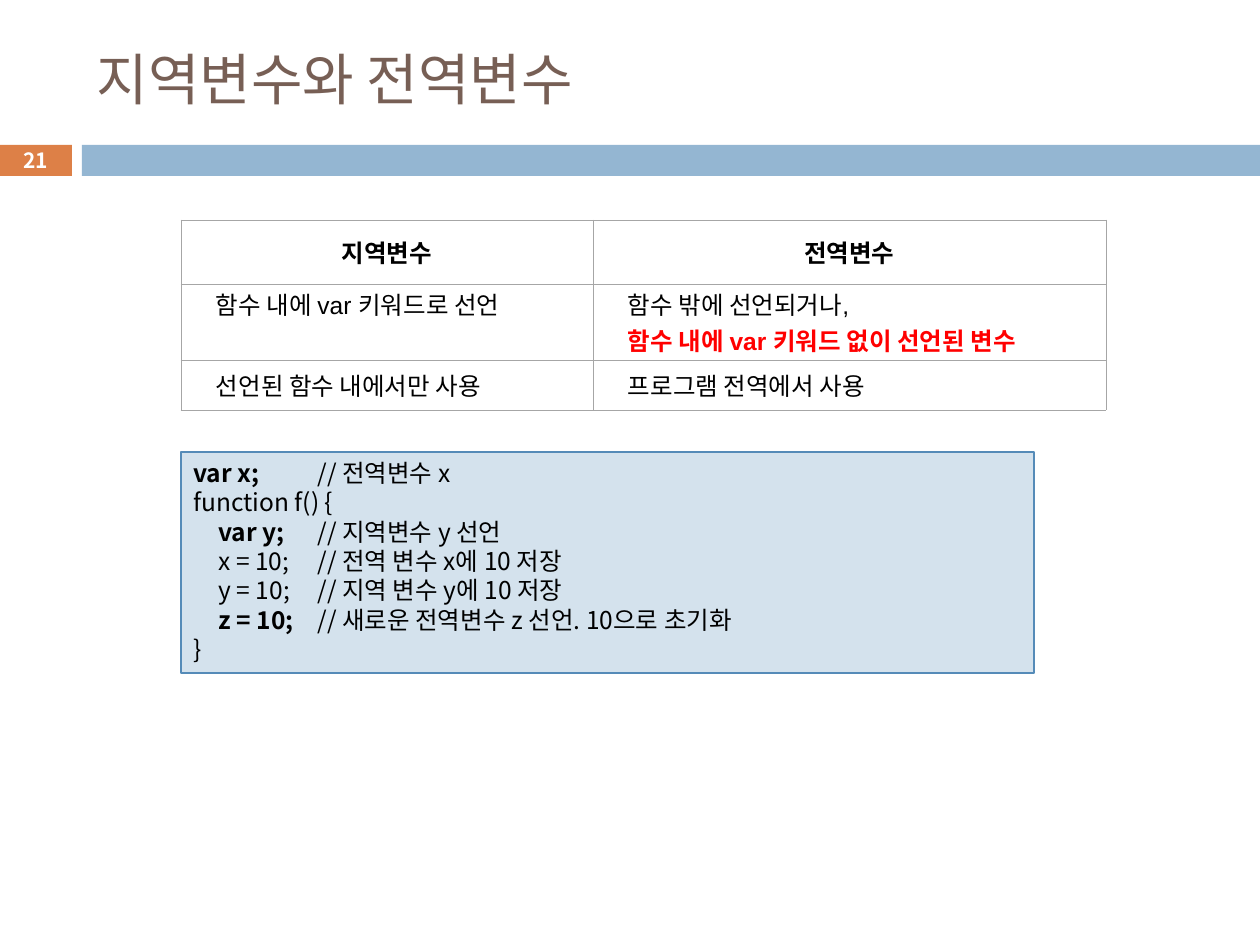
from typing import NamedTuple

from lxml.etree import SubElement
from pptx import Presentation
from pptx.dml.color import RGBColor
from pptx.enum.shapes import MSO_SHAPE as Shape
from pptx.enum.text import MSO_ANCHOR as Anchor, MSO_AUTO_SIZE as AutoSize, PP_ALIGN as Align
from pptx.oxml.ns import qn
from pptx.util import Pt

PX = 914400 / 126
SANS, ARIAL = "Noto Sans CJK KR", "Arial"
BLACK = RGBColor(0, 0, 0)
WHITE = RGBColor(255, 255, 255)
RED = RGBColor(255, 0, 0)
BROWN = RGBColor(0x77, 0x5F, 0x55)
ORANGE = RGBColor(0xDD, 0x80, 0x47)
BLUE = RGBColor(0x94, 0xB6, 0xD2)
PALE_BLUE = RGBColor(0xD4, 0xE2, 0xED)
EDGE_BLUE = RGBColor(0x55, 0x8B, 0xB8)
BORDER_GRAY = "A6A6A6"


class Box(NamedTuple):
    left: int
    top: int
    width: int
    height: int


class CodeLine(NamedTuple):
    statement: str
    comment: str = ""
    bold: bool = False


class Cell(NamedTuple):
    lines: list[str]
    header: bool = False
    anchor: Anchor = Anchor.MIDDLE
    warning_line: int = -1


TABLE_BOX = Box(181, 220, 925, 190)
COLUMN_WIDTHS = [412, 513]
ROW_HEIGHTS = [64, 76, 50]
ROWS = [
    [Cell(["지역변수"], header=True), Cell(["전역변수"], header=True)],
    [Cell(["함수 내에 var 키워드로 선언"], anchor=Anchor.TOP),
     Cell(["함수 밖에 선언되거나,", "함수 내에 var 키워드 없이 선언된 변수"], warning_line=1)],
    [Cell(["선언된 함수 내에서만 사용"]), Cell(["프로그램 전역에서 사용"])],
]
CODE_TABS = [25, 124]
CODE = [
    CodeLine("var x;", "\t// 전역변수 x", True),
    CodeLine("function f() {"),
    CodeLine("\tvar y;", "\t// 지역변수 y 선언", True),
    CodeLine("\tx = 10;", "\t// 전역 변수 x에 10 저장"),
    CodeLine("\ty = 10;", "\t// 지역 변수 y에 10 저장"),
    CodeLine("\tz = 10;", "\t// 새로운 전역변수 z 선언. 10으로 초기화", True),
    CodeLine("}"),
]


def px(length: int) -> int:
    return round(length * PX)


def format_run(run, size: float, color: RGBColor, bold: bool = False, latin: str = SANS) -> None:
    run.font.size = Pt(size)
    run.font.bold = bold
    run.font.color.rgb = color
    run.font.name = latin
    SubElement(run.font._element, qn("a:ea"), typeface=SANS)


def add_rectangle(slide, box: Box, fill: RGBColor):
    shape = slide.shapes.add_shape(Shape.RECTANGLE, *map(px, box))
    shape.shadow.inherit = False
    shape.fill.solid()
    shape.fill.fore_color.rgb = fill
    shape.line.fill.background()
    return shape


def add_title(slide, box: Box, text: str) -> None:
    title = slide.shapes.title
    title.left, title.top, title.width, title.height = map(px, box)
    frame = title.text_frame
    frame.auto_size = AutoSize.NONE
    frame.vertical_anchor = Anchor.MIDDLE
    frame.text = text
    frame.paragraphs[0].alignment = Align.LEFT
    format_run(frame.paragraphs[0].runs[0], 32, BROWN)


def add_slide_number(slide, box: Box, text: str) -> None:
    frame = add_rectangle(slide, box, ORANGE).text_frame
    frame.margin_left = frame.margin_right = frame.margin_top = frame.margin_bottom = 0
    frame.vertical_anchor = Anchor.MIDDLE
    frame.text = text
    frame.paragraphs[0].alignment = Align.CENTER
    format_run(frame.paragraphs[0].runs[0], 12, WHITE, bold=True)


def fill_cell(table_cell, cell: Cell) -> None:
    # Borders come before the fill in the cell properties
    properties = table_cell._tc.get_or_add_tcPr()
    for side in ("lnL", "lnR", "lnT", "lnB"):
        line = SubElement(properties, qn(f"a:{side}"), w=str(Pt(0.5)))
        SubElement(SubElement(line, qn("a:solidFill")), qn("a:srgbClr"), val=BORDER_GRAY)
    table_cell.fill.background()
    table_cell.vertical_anchor = cell.anchor
    table_cell.margin_left = table_cell.margin_right = px(9)
    table_cell.margin_top = table_cell.margin_bottom = px(2)

    table_cell.text_frame.text = "\n".join(cell.lines)
    for index, paragraph in enumerate(table_cell.text_frame.paragraphs):
        warning = index == cell.warning_line
        if cell.header:
            paragraph.alignment = Align.CENTER
        else:
            paragraph._p.get_or_add_pPr().set("marL", str(px(26)))
        format_run(paragraph.runs[0], 14, RED if warning else BLACK,
                   cell.header or warning, ARIAL)


def add_comparison_table(slide) -> None:
    table = slide.shapes.add_table(len(ROWS), len(COLUMN_WIDTHS), *map(px, TABLE_BOX)).table
    table.first_row = table.horz_banding = False
    for column, width in zip(table.columns, COLUMN_WIDTHS):
        column.width = px(width)
    for row, height, cells in zip(table.rows, ROW_HEIGHTS, ROWS):
        row.height = px(height)
        for table_cell, cell in zip(row.cells, cells):
            fill_cell(table_cell, cell)


def add_code(slide, box: Box, lines: list[CodeLine]) -> None:
    shape = add_rectangle(slide, box, PALE_BLUE)
    shape.line.color.rgb = EDGE_BLUE
    shape.line.width = Pt(0.75)
    frame = shape.text_frame
    frame.word_wrap = True
    frame.vertical_anchor = Anchor.TOP
    frame.text = "\n".join(line.statement for line in lines)
    for paragraph, line in zip(frame.paragraphs, lines):
        paragraph.alignment = Align.LEFT
        paragraph.line_spacing = Pt(16.75)
        tabs = SubElement(paragraph._p.get_or_add_pPr(), qn("a:tabLst"))
        for position in CODE_TABS:
            SubElement(tabs, qn("a:tab"), pos=str(px(position)), algn="l")
        format_run(paragraph.runs[0], 14, BLACK, line.bold)
        if line.comment:
            comment = paragraph.add_run()
            comment.text = line.comment
            format_run(comment, 14, BLACK)


def main() -> None:
    presentation = Presentation()
    presentation.slide_width, presentation.slide_height = px(1260), px(945)
    slide = presentation.slides.add_slide(presentation.slide_layouts[5])

    # Heading with its number and band
    add_title(slide, Box(84, 32, 1124, 93), "지역변수와 전역변수")
    add_slide_number(slide, Box(-1, 145, 73, 31), "21")
    add_rectangle(slide, Box(82, 145, 1178, 31), BLUE)

    # Comparison and code example
    add_comparison_table(slide)
    add_code(slide, Box(181, 452, 853, 221), CODE)
    presentation.save("out.pptx")


if __name__ == "__main__":
    main()
